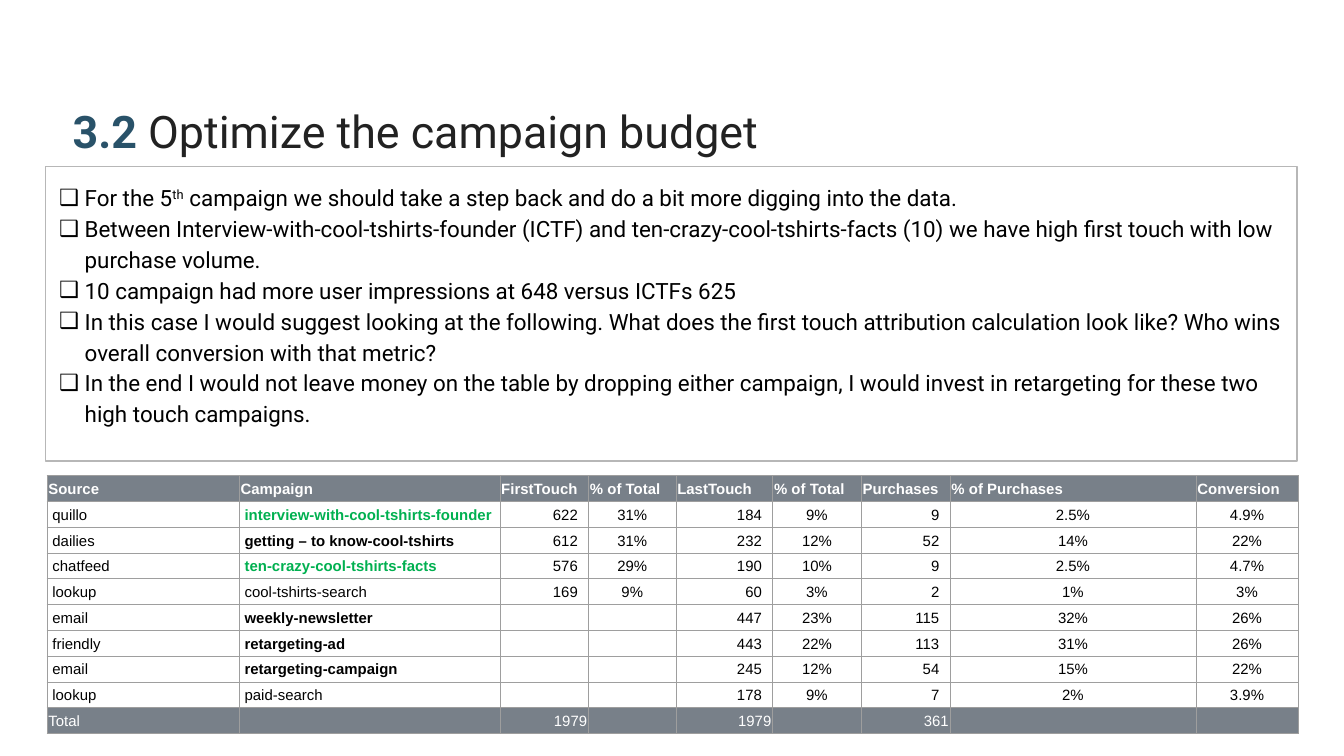
from dataclasses import dataclass

from lxml import etree
from pptx import Presentation
from pptx.dml.color import RGBColor
from pptx.enum.text import MSO_ANCHOR, MSO_AUTO_SIZE, PP_ALIGN
from pptx.oxml.ns import qn
from pptx.util import Inches, Pt

LEFT, CENTER, RIGHT = PP_ALIGN.LEFT, PP_ALIGN.CENTER, PP_ALIGN.RIGHT
TOP, MIDDLE = MSO_ANCHOR.TOP, MSO_ANCHOR.MIDDLE
NO_AUTOFIT = MSO_AUTO_SIZE.NONE


@dataclass(frozen=True)
class Theme:
    heading_font: str = "Roboto"
    table_font: str = "Arial"
    title_size: float = 24
    body_size: float = 12
    table_size: float = 8
    accent: str = "295269"
    title: str = "222222"
    ink: str = "000000"
    white: str = "FFFFFF"
    green: str = "00B050"
    band: str = "788089"
    grid: str = "9E9E9E"
    frame: str = "B7B7B7"


@dataclass(frozen=True)
class Column:
    heading: str
    width: float
    align: PP_ALIGN
    margin: float = 0.01


@dataclass(frozen=True)
class CellStyle:
    align: PP_ALIGN
    margin: float = 0.01
    color: str = Theme.ink
    bold: bool = False
    fill: str = ""


THEME = Theme()

ADVICE = [
    ["For the 5", "th", " campaign we should take a step back and do a bit more digging into the data. "],
    ["Between Interview-with-cool-tshirts-founder (ICTF) and ten-crazy-cool-tshirts-facts (10) "
     "we have high first touch with low purchase volume. "],
    ["10 campaign had more user impressions at 648 versus ICTFs 625"],
    ["In this case I would suggest looking at the following. What does the first touch attribution "
     "calculation look like? Who wins overall conversion with that metric?"],
    ["In the end I would not leave money on the table by dropping either campaign, I would invest "
     "in retargeting for these two high touch campaigns."],
]

COLUMNS = [
    Column("Source", 1.43, LEFT, 0.04),
    Column("Campaign", 1.94, LEFT, 0.04),
    Column("FirstTouch", 0.66, RIGHT, 0.08),
    Column("% of Total", 0.65, CENTER),
    Column("LastTouch", 0.72, RIGHT, 0.08),
    Column("% of Total", 0.66, CENTER),
    Column("Purchases", 0.66, RIGHT, 0.08),
    Column("% of Purchases", 1.83, CENTER),
    Column("Conversion", 0.76, CENTER),
]

CAMPAIGNS = [
    ["quillo", "interview-with-cool-tshirts-founder", "622", "31%", "184", "9%", "9", "2.5%", "4.9%"],
    ["dailies", "getting – to know-cool-tshirts", "612", "31%", "232", "12%", "52", "14%", "22%"],
    ["chatfeed", "ten-crazy-cool-tshirts-facts", "576", "29%", "190", "10%", "9", "2.5%", "4.7%"],
    ["lookup", "cool-tshirts-search", "169", "9%", "60", "3%", "2", "1%", "3%"],
    ["email", "weekly-newsletter", "", "", "447", "23%", "115", "32%", "26%"],
    ["friendly", "retargeting-ad", "", "", "443", "22%", "113", "31%", "26%"],
    ["email", "retargeting-campaign", "", "", "245", "12%", "54", "15%", "22%"],
    ["lookup", "paid-search", "", "", "178", "9%", "7", "2%", "3.9%"],
]
TOTALS = ["Total", "", "1979", "", "1979", "", "361", "", ""]
HIGH_TOUCH = {"interview-with-cool-tshirts-founder", "ten-crazy-cool-tshirts-facts"}
PLAIN = {"cool-tshirts-search", "paid-search"}


def style_run(run, font: str, size: float, color: str, bold: bool = False) -> None:
    run.font.name = font
    run.font.size = Pt(size)
    run.font.bold = bold
    run.font.color.rgb = RGBColor.from_string(color)


def place(shape, left: float, top: float, width: float, height: float) -> None:
    shape.left, shape.top = Inches(left), Inches(top)
    shape.width, shape.height = Inches(width), Inches(height)
    frame = shape.text_frame
    frame.word_wrap = True
    frame.auto_size = NO_AUTOFIT
    frame.vertical_anchor = TOP
    frame.margin_left, frame.margin_right = Inches(0.1), Inches(0.08)
    frame.margin_top = frame.margin_bottom = Inches(0.1)


def set_spacing(paragraph, indent: float, hanging: float = 0):
    paragraph.alignment = LEFT
    paragraph.line_spacing = 1.15
    paragraph.space_before = Pt(0)
    properties = paragraph._p.get_or_add_pPr()
    properties.set("marL", str(Inches(indent)))
    properties.set("indent", str(Inches(-hanging)))
    return properties


def add_bullet(paragraph) -> None:
    properties = set_spacing(paragraph, 0.19, 0.19)
    color = etree.SubElement(properties, qn("a:buClr"))
    etree.SubElement(color, qn("a:srgbClr"), val=THEME.ink)
    etree.SubElement(properties, qn("a:buChar"), char="❑")


def add_borders(cell) -> None:
    properties = cell._tc.get_or_add_tcPr()
    for side in ("a:lnL", "a:lnR", "a:lnT", "a:lnB"):
        line = etree.SubElement(properties, qn(side), w=str(Pt(0.5)))
        fill = etree.SubElement(line, qn("a:solidFill"))
        etree.SubElement(fill, qn("a:srgbClr"), val=THEME.grid)


def write_cell(cell, text: str, style: CellStyle) -> None:
    cell.text = text
    cell.vertical_anchor = MIDDLE
    cell.margin_left = cell.margin_right = Inches(style.margin)
    cell.margin_top, cell.margin_bottom = Inches(0.01), 0
    add_borders(cell)
    if style.fill:
        cell.fill.solid()
        cell.fill.fore_color.rgb = RGBColor.from_string(style.fill)
    else:
        cell.fill.background()
    paragraph = cell.text_frame.paragraphs[0]
    paragraph.alignment = style.align
    for run in paragraph.runs:
        style_run(run, THEME.table_font, THEME.table_size, style.color, style.bold)
    if not text:  # an empty cell keeps the row height small
        etree.SubElement(paragraph._p, qn("a:endParaRPr"), sz=str(int(THEME.table_size * 100)))


def campaign_style(column: Column, text: str) -> CellStyle:
    is_campaign = column.heading == "Campaign"
    color = THEME.green if text in HIGH_TOUCH else THEME.ink
    return CellStyle(column.align, column.margin, color, is_campaign and text not in PLAIN)


# Widescreen slide, 16:9
presentation = Presentation()
presentation.slide_width = Inches(10)
presentation.slide_height = Inches(10) * 9 // 16
slide = presentation.slides.add_slide(presentation.slide_layouts[1])

# Title
title = slide.shapes.title
place(title, 0.35, 0.61, 9.32, 0.63)
heading = title.text_frame.paragraphs[0]
set_spacing(heading, 0.09)
for words, color, bold in (("3.2 ", THEME.accent, True),
                           ("Optimize the campaign budget", THEME.title, False)):
    part = heading.add_run()
    part.text = words
    style_run(part, THEME.heading_font, THEME.title_size, color, bold)

# Framed advice list
advice = slide.placeholders[1]
place(advice, 0.34, 1.24, 9.31, 2.19)
advice.line.color.rgb = RGBColor.from_string(THEME.frame)
advice.line.width = Pt(0.75)
for index, pieces in enumerate(ADVICE):
    frame = advice.text_frame
    point = frame.add_paragraph() if index else frame.paragraphs[0]
    add_bullet(point)
    for piece in pieces:
        part = point.add_run()
        part.text = piece
        style_run(part, THEME.heading_font, THEME.body_size, THEME.ink)
        if piece == "th":
            part._r.get_or_add_rPr().set("baseline", "30000")

# Campaign table
results = slide.shapes.add_table(len(CAMPAIGNS) + 2, len(COLUMNS), Inches(0.35), Inches(3.54),
                                 Inches(9.3), Inches(1.92)).table
results.first_row = results.horz_banding = False
for index, column in enumerate(COLUMNS):
    results.columns[index].width = Inches(column.width)
    write_cell(results.cell(0, index), column.heading,
               CellStyle(LEFT, color=THEME.white, bold=True, fill=THEME.band))
    for row, campaign in enumerate(CAMPAIGNS, 1):
        write_cell(results.cell(row, index), campaign[index], campaign_style(column, campaign[index]))
    write_cell(results.cell(len(CAMPAIGNS) + 1, index), TOTALS[index],
               CellStyle(column.align, color=THEME.white, fill=THEME.band))

presentation.save("out.pptx")
